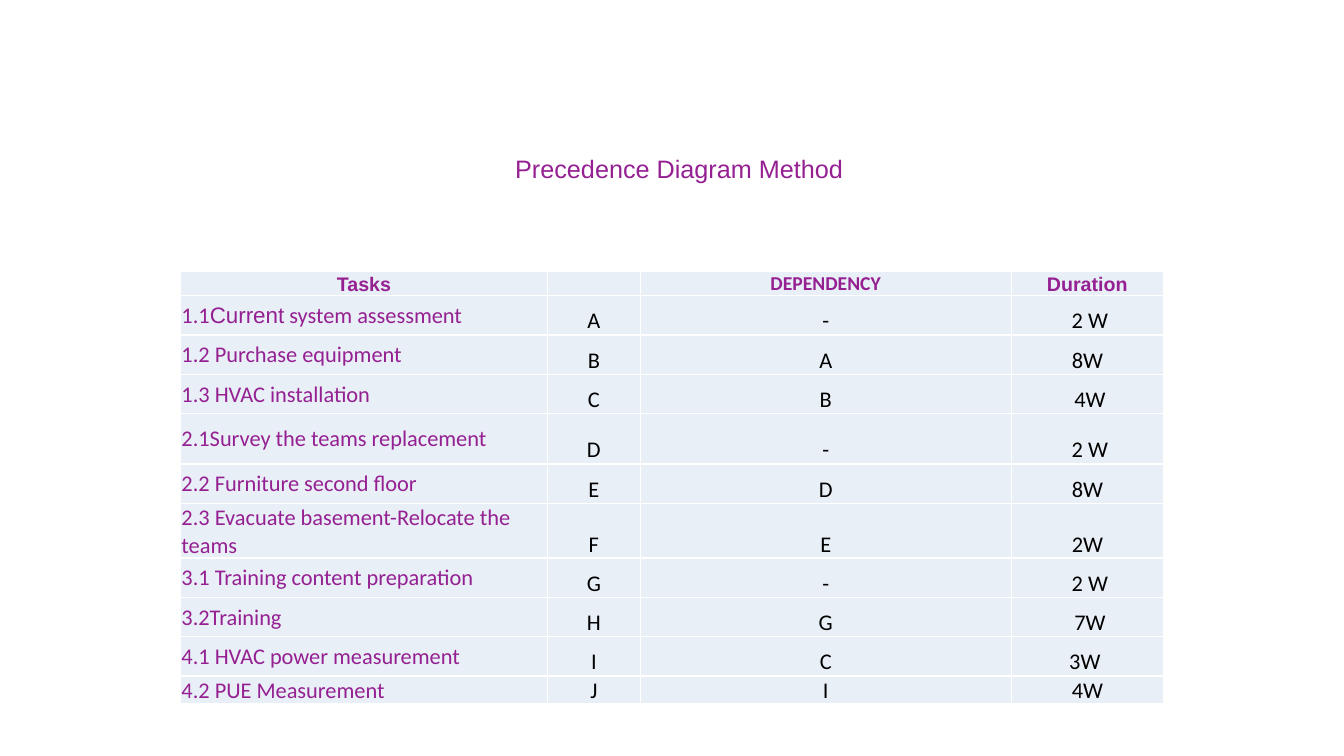
from lxml.etree import SubElement
from pptx import Presentation
from pptx.dml.color import RGBColor
from pptx.enum.text import MSO_ANCHOR, MSO_AUTO_SIZE, PP_ALIGN
from pptx.oxml.ns import qn
from pptx.util import Inches, Pt

PURPLE = RGBColor(0x94, 0x20, 0x92)
BLACK = RGBColor(0x00, 0x00, 0x00)
PALE_BLUE = RGBColor(0xE9, 0xEF, 0xF7)
WHITE = RGBColor(0xFF, 0xFF, 0xFF)

HEADERS = [("Tasks", "Arial"), ("", "Calibri"), ("DEPENDENCY", "Calibri"), ("Duration", "Arial")]

# Task name as (text, font) runs, or plain text; then dependency and duration
TASKS = [
    ([("1.1", "Calibri"), ("Current", "Arial"), (" system assessment", "Calibri")], "-", " 2 W"),
    ("1.2 Purchase equipment", "A", "8W"),
    ("1.3 HVAC installation", "B", " 4W"),
    ("2.1Survey the teams replacement", "-", " 2 W"),
    ("2.2 Furniture second floor", "D", "8W"),
    ("2.3 Evacuate basement-Relocate the teams", "E", "2W"),
    ("3.1 Training content preparation", "-", " 2 W"),
    ("3.2Training", "G", " 7W"),
    ("4.1 HVAC power measurement", "C", "3W "),
    ("4.2 PUE Measurement", "I", "4W"),
]
COLUMN_WIDTHS = [3.64, 0.92, 3.68, 1.51]
ROW_HEIGHTS = [0.2] + [0.39] * 3 + [0.5] + [0.39] * 5 + [0.22]


class SlideBuilder:
    def __init__(self, deck):
        self.page = deck.slides.add_slide(deck.slide_layouts[5])

    def add_span(self, para, text, font, size, color, bold=False):
        span = para.add_run()
        span.text = text
        span.font.name = font
        span.font.size = Pt(size)
        span.font.bold = bold
        span.font.color.rgb = color

    def title(self, text, left, top, width, height):
        box = self.page.shapes.title
        box.left, box.top = Inches(left), Inches(top)
        box.width, box.height = Inches(width), Inches(height)
        frame = box.text_frame
        frame.word_wrap = True
        frame.auto_size = MSO_AUTO_SIZE.SHAPE_TO_FIT_TEXT
        frame.vertical_anchor = MSO_ANCHOR.TOP
        para = frame.paragraphs[0]
        para.alignment = PP_ALIGN.LEFT
        self.add_span(para, text, "Arial", 18, PURPLE)

    def table(self, left, top, widths, heights):
        frame = self.page.shapes.add_table(
            len(heights), len(widths), Inches(left), Inches(top),
            Inches(sum(widths)), Inches(sum(heights)))
        grid = frame.table
        for column, width in zip(grid.columns, widths):
            column.width = Inches(width)
        for row, height in zip(grid.rows, heights):
            row.height = Inches(height)
        return grid

    def cell(self, cell, runs, size, color, bold=False, centered=True):
        cell.margin_left = cell.margin_right = cell.margin_top = Inches(0.01)
        cell.margin_bottom = 0
        cell.vertical_anchor = MSO_ANCHOR.BOTTOM if centered else MSO_ANCHOR.MIDDLE
        self.borders(cell)
        cell.fill.solid()
        cell.fill.fore_color.rgb = PALE_BLUE
        para = cell.text_frame.paragraphs[0]
        para.alignment = PP_ALIGN.CENTER if centered else PP_ALIGN.LEFT
        for text, font in runs:
            if text:
                self.add_span(para, text, font, size, color, bold)
            else:
                # An empty cell keeps the row's text height
                SubElement(para._p, qn("a:endParaRPr"), sz=str(size * 100))

    def borders(self, cell):
        properties = cell._tc.get_or_add_tcPr()
        for side in ("a:lnL", "a:lnR", "a:lnT", "a:lnB"):
            line = SubElement(properties, qn(side), w=str(Pt(1)))
            fill = SubElement(line, qn("a:solidFill"))
            SubElement(fill, qn("a:srgbClr"), val=str(WHITE))


def main():
    deck = Presentation()
    deck.slide_width, deck.slide_height = Inches(13.33), Inches(7.5)
    builder = SlideBuilder(deck)

    # Title
    builder.title("Precedence Diagram Method", 5.01, 1.47, 6.67, 0.4)

    # Table header
    grid = builder.table(1.79, 2.69, COLUMN_WIDTHS, ROW_HEIGHTS)
    for column, header in enumerate(HEADERS):
        builder.cell(grid.cell(0, column), [header], 14, PURPLE, bold=True)

    # Task rows, lettered from A
    for row, (name, dependency, duration) in enumerate(TASKS, start=1):
        runs = [(name, "Calibri")] if isinstance(name, str) else name
        builder.cell(grid.cell(row, 0), runs, 16, PURPLE, centered=False)
        letter = "ABCDEFGHIJ"[row - 1]
        for column, text in enumerate((letter, dependency, duration), start=1):
            builder.cell(grid.cell(row, column), [(text, "Calibri")], 16, BLACK)

    deck.save("out.pptx")


if __name__ == "__main__":
    main()
